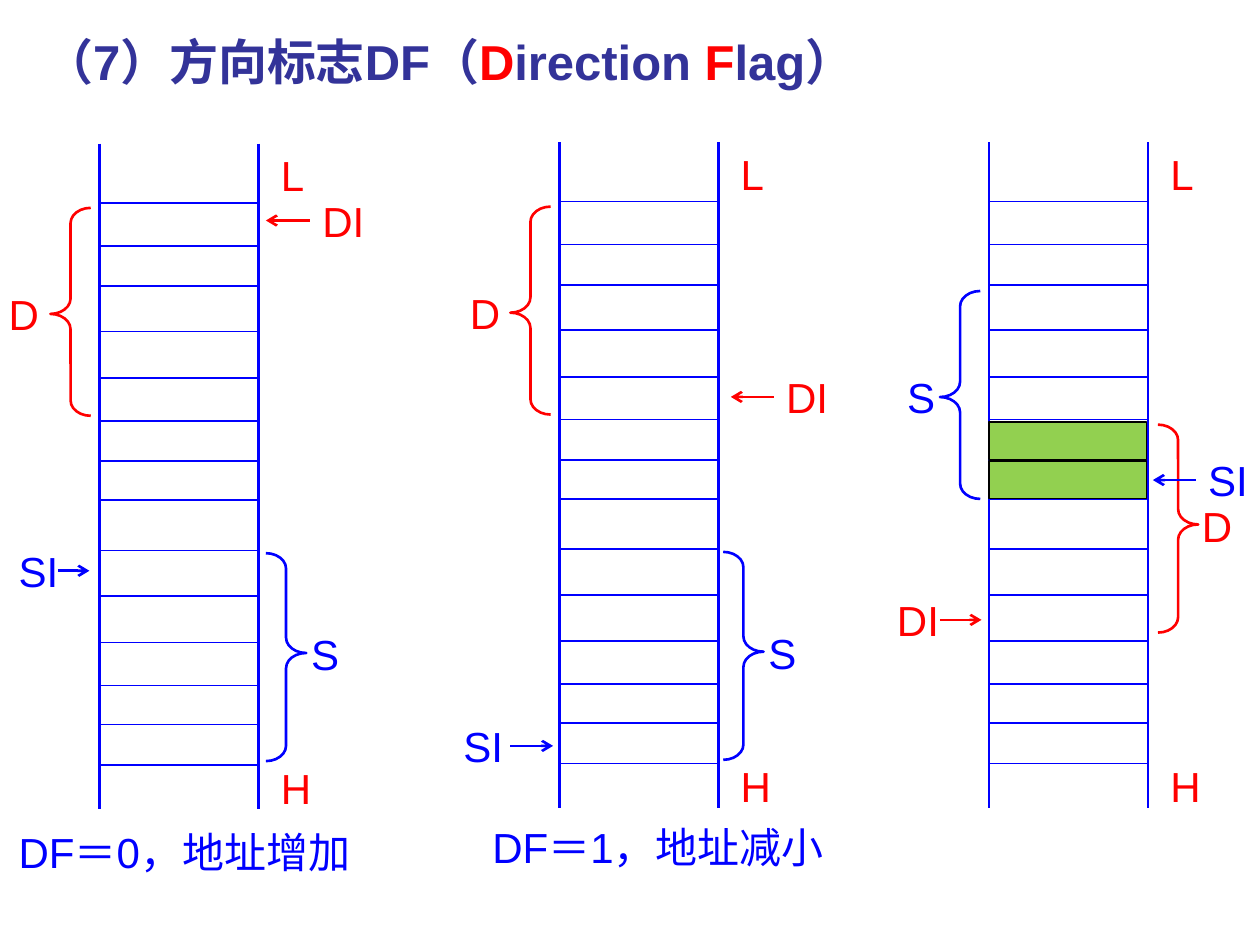
"""Build a slide comparing string moves with the direction flag clear and set."""
from lxml import etree
from pptx import Presentation
from pptx.dml.color import RGBColor
from pptx.enum.shapes import MSO_CONNECTOR, MSO_SHAPE
from pptx.enum.text import MSO_ANCHOR, MSO_AUTO_SIZE, PP_ALIGN
from pptx.oxml.ns import qn
from pptx.util import Inches, Pt

STRAIGHT = MSO_CONNECTOR.STRAIGHT
BRACE = MSO_SHAPE.LEFT_BRACE
RECTANGLE = MSO_SHAPE.RECTANGLE
MIDDLE = MSO_ANCHOR.MIDDLE
TOP = MSO_ANCHOR.TOP
LEFT = PP_ALIGN.LEFT
GROW = MSO_AUTO_SIZE.SHAPE_TO_FIT_TEXT

COLORS = {"blue": "0000FF", "red": "FF0000", "navy": "333399",
          "green": "92D050", "black": "000000", "white": "FFFFFF"}
FONT = "Arial"
MEMORY_WIDTH, MEMORY_HEIGHT = 1.26, 5.28
ROW_OFFSETS = [0.47, 0.81, 1.13, 1.49, 1.86, 2.2, 2.52, 2.83,
               3.23, 3.59, 3.96, 4.3, 4.61, 4.93]
BRACE_WIDTH, BRACE_HEIGHT = 0.32, 1.65
LABEL_WIDTH, LABEL_HEIGHT = 0.71, 0.5

TITLE = [("（7）方向标志DF（", "navy"), ("D", "red"), ("irection ", "navy"),
         ("F", "red"), ("lag）", "navy")]
MEMORIES = [
    {"left": 0.79, "top": 1.14,
     "left_brace": ("D", -0.03, 0.4, 1.65, "red"),
     "right_brace": ("S", 2.37, 2.11, 4.39, "blue"),
     "pointers": [("DI", 2.46, 2.46, 2.11, 1.75, "red"),
                  ("SI", 0.05, 0.46, 0.71, 4.53, "blue")]},
    {"left": 4.44, "top": 1.13,
     "left_brace": ("D", 3.63, 4.05, 1.64, "red"),
     "right_brace": ("S", 6, 5.74, 4.38, "blue"),
     "pointers": [("DI", 6.14, 6.14, 5.8, 3.15, "red"),
                  ("SI", 3.58, 4.05, 4.39, 5.92, "blue")]},
    {"left": 7.85, "top": 1.13,
     "left_brace": ("S", 7.1, 7.46, 2.31, "blue"),
     "right_brace": ("D", 9.44, 9.19, 3.37, "red"),
     "pointers": [("SI", 9.49, 9.49, 9.15, 3.81, "blue"),
                  ("DI", 7.02, 7.46, 7.79, 4.92, "red")]},
]
CAPTIONS = [("DF＝0，地址增加", 0.05, 6.51), ("DF＝1，地址减小", 3.81, 6.47)]
OVERLAP_TOPS = [3.35, 3.66]


class Painter:
    """Hold the text style and the shape collection being drawn on."""

    def __init__(self, page):
        self.page = page
        self.shapes = page.shapes

    def color(self, name):
        return RGBColor.from_string(COLORS[name])

    def style_span(self, span, size, color, bold=False):
        span.font.name = FONT
        span.font.size = Pt(size)
        span.font.bold = bold
        span.font.color.rgb = self.color(color)

    def title(self, pieces):
        box = self.page.shapes.title
        box.left, box.top = Inches(0.25), Inches(0.21)
        box.width, box.height = Inches(9), Inches(0.55)
        box.text_frame.vertical_anchor = MIDDLE
        para = box.text_frame.paragraphs[0]
        para.alignment = LEFT
        for text, color in pieces:
            span = para.add_run()
            span.text = text
            self.style_span(span, 28, color, bold=True)

    def line(self, start, end, color, weight, arrow=False):
        link = self.shapes.add_connector(STRAIGHT, *map(Inches, start + end))
        link.line.color.rgb = self.color(color)
        link.line.width = Pt(weight)
        properties = link.element.spPr
        if arrow:
            etree.SubElement(properties.find(qn("a:ln")), qn("a:tailEnd"), type="arrow")
        etree.SubElement(properties, qn("a:effectLst"))

    def rectangle(self, left, top, width, height, fill, line=None):
        box = self.shapes.add_shape(RECTANGLE, *map(Inches, (left, top, width, height)))
        box.shadow.inherit = False
        box.fill.solid()
        box.fill.fore_color.rgb = self.color(fill)
        if line:
            box.line.color.rgb = self.color(line)
            box.line.width = Pt(0.75)
        else:
            box.line.fill.background()
        return box

    def set_text(self, box, text, color):
        frame = box.text_frame
        frame.text = text
        frame.word_wrap = True
        frame.auto_size = GROW
        frame.vertical_anchor = TOP
        para = frame.paragraphs[0]
        para.alignment = LEFT
        self.style_span(para.runs[0], 24, color)

    def label(self, text, left, top, color):
        box = self.shapes.add_textbox(
            *map(Inches, (left, top, LABEL_WIDTH, LABEL_HEIGHT)))
        self.set_text(box, text, color)
        box.text_frame.margin_right = 0

    def caption(self, text, left, top):
        box = self.rectangle(left, top, 2.86, LABEL_HEIGHT, "white")
        self.set_text(box, text, "blue")

    def brace(self, text, label_left, left, top, color, rotation=0):
        brace = self.shapes.add_shape(
            BRACE, *map(Inches, (left, top, BRACE_WIDTH, BRACE_HEIGHT)))
        brace.shadow.inherit = False
        brace.rotation = rotation
        brace.adjustments[0] = 0.38
        brace.adjustments[1] = 0.52 if rotation else 0.51
        brace.fill.background()
        brace.line.color.rgb = self.color(color)
        brace.line.width = Pt(1.5)
        label_offset = 0.55 if rotation else 0.59
        self.label(text, label_left, top + label_offset, color)

    def pointer(self, text, label_left, start, end, middle, color):
        self.label(text, label_left, middle - LABEL_HEIGHT / 2, color)
        self.line((start, middle), (end, middle), color, 1.5, arrow=True)

    def memory(self, left, top, left_brace, right_brace, pointers):
        self.shapes = self.page.shapes.add_group_shape().shapes
        right = left + MEMORY_WIDTH
        for side in (left, right):
            self.line((side, top), (side, top + MEMORY_HEIGHT), "blue", 1.5)
        for offset in ROW_OFFSETS:
            self.line((left, top + offset), (right, top + offset), "blue", 1)
        self.brace(*left_brace)
        self.brace(*right_brace, rotation=180)
        for text, offset in (("L", 0), ("H", 4.86)):
            self.label(text, right + 0.08, top + offset, "red")
        for pointer in pointers:
            self.pointer(*pointer)
        self.shapes = self.page.shapes


def main():
    deck = Presentation()
    deck.slide_width, deck.slide_height = Inches(10), Inches(7.5)
    painter = Painter(deck.slides.add_slide(deck.slide_layouts[5]))
    painter.title(TITLE)
    for memory in MEMORIES:
        painter.memory(**memory)
    for caption in CAPTIONS:
        painter.caption(*caption)
    for top in OVERLAP_TOPS:
        painter.rectangle(7.85, top, 1.25, 0.3, "green", "black")
    deck.save("out.pptx")


if __name__ == "__main__":
    main()
